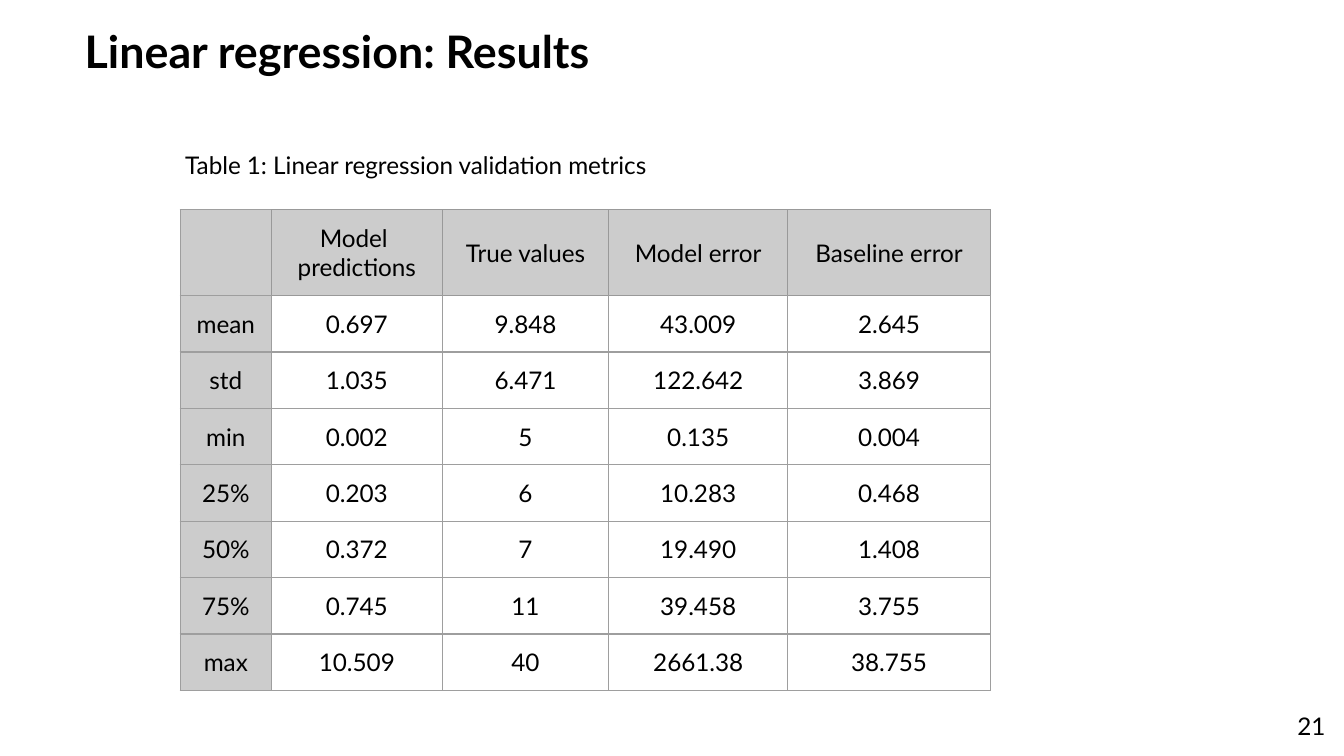
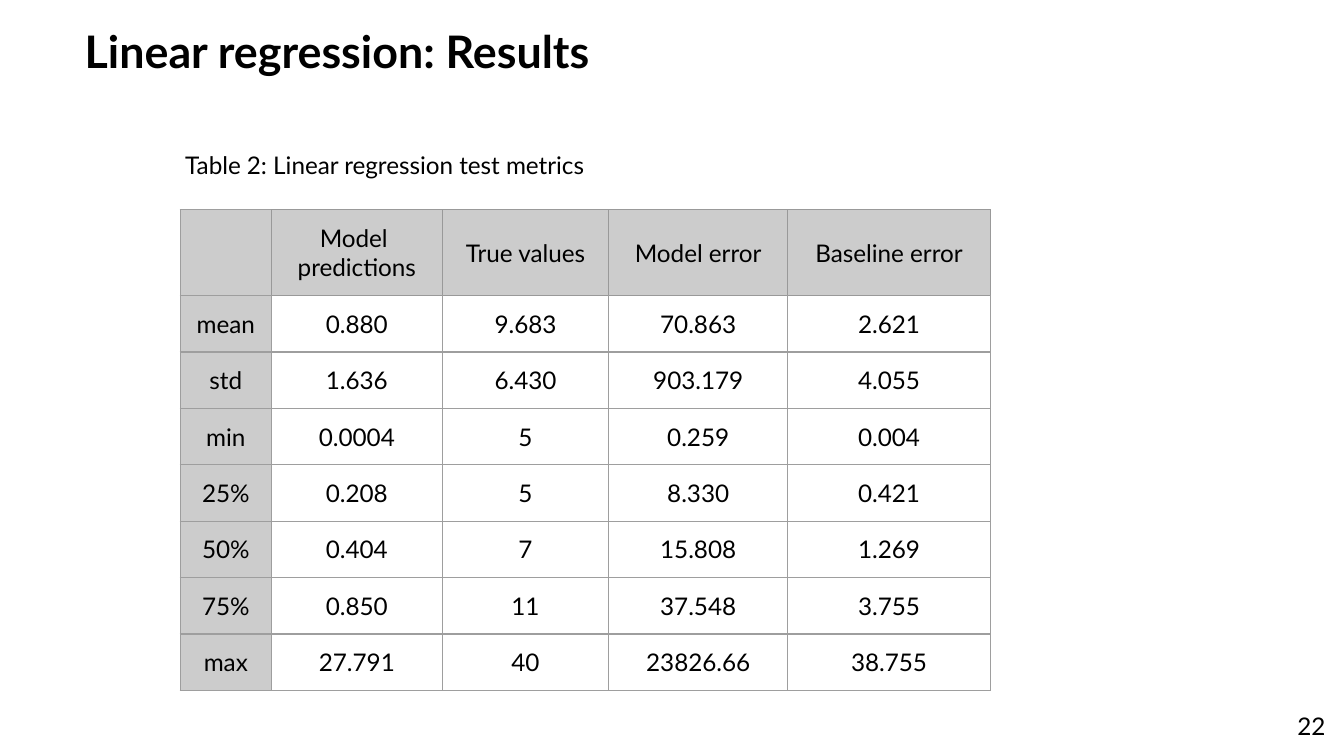
import pptx
import pptx.dml.color
import pptx.enum.text
import pptx.oxml
import pptx.oxml.ns
import pptx.util
from pptx.util import Inches

RGBColor = pptx.dml.color.RGBColor
ALIGN = pptx.enum.text.PP_ALIGN
ANCHOR = pptx.enum.text.MSO_ANCHOR

# Content
TITLE = "Linear regression: Results"
HEADINGS = ["", "Model \npredictions", "True values", "Model error", "Baseline error"]
RESULTS = [
    {
        "number": "21",
        "caption": "Table 1: Linear regression validation metrics",
        "rows": [
            ("mean", "0.697", "9.848", "43.009", "2.645"),
            ("std", "1.035", "6.471", "122.642", "3.869"),
            ("min", "0.002", "5", "0.135", "0.004"),
            ("25%", "0.203", "6", "10.283", "0.468"),
            ("50%", "0.372", "7", "19.490", "1.408"),
            ("75%", "0.745", "11", "39.458", "3.755"),
            ("max", "10.509", "40", "2661.38", "38.755"),
        ],
    },
    {
        "number": "22",
        "caption": "Table 2: Linear regression test metrics",
        "rows": [
            ("mean", "0.880", "9.683", "70.863", "2.621"),
            ("std", "1.636", "6.430", "903.179", "4.055"),
            ("min", "0.0004", "5", "0.259", "0.004"),
            ("25%", "0.208", "5", "8.330", "0.421"),
            ("50%", "0.404", "7", "15.808", "1.269"),
            ("75%", "0.850", "11", "37.548", "3.755"),
            ("max", "27.791", "40", "23826.66", "38.755"),
        ],
    },
]

# Shared style
FONT = "Lato"
TITLE_SIZE, TEXT_SIZE = 24, 13
BLACK = RGBColor(0x00, 0x00, 0x00)
LABEL_FILL = RGBColor(0xCC, 0xCC, 0xCC)
BODY_EDGE = RGBColor(0x9E, 0x9E, 0x9E)
HEADING_EDGE = RGBColor(0x99, 0x99, 0x99)
EDGE_WIDTH = pptx.util.Pt(0.75)

# Layout, in inches
PAGE_WIDTH = 10
PAGE_HEIGHT = PAGE_WIDTH * 9 / 16
TITLE_AREA = (0.53, 0.09, 7.46, 0.58)
CAPTION_AREA = (1.28, 1.02, 7.16, 0.47)
NUMBER_AREA = (9.36, 5.19, 0.6, 0.43)
TABLE_LEFT, TABLE_TOP = 1.34, 1.56
COLUMN_WIDTHS = [0.68, 1.27, 1.24, 1.33, 1.51]
HEADING_HEIGHT, ROW_HEIGHT = 0.64, 0.42
MARGIN = 0.1


def write_text(frame, text, align, size=TEXT_SIZE, bold=False):
    for index, line in enumerate(text.split("\n")):
        para = frame.paragraphs[0] if index == 0 else frame.add_paragraph()
        para.alignment = align
        para.font.size = pptx.util.Pt(size)
        if line:
            span = para.add_run()
            span.text = line
            span.font.name = FONT
            span.font.size = pptx.util.Pt(size)
            span.font.bold = bold
            span.font.color.rgb = BLACK


def set_margins(holder, vertical=MARGIN):
    holder.margin_left = holder.margin_right = Inches(MARGIN)
    holder.margin_top = holder.margin_bottom = Inches(vertical)


def add_title(page):
    title = page.shapes.title
    title.left, title.top, title.width, title.height = map(Inches, TITLE_AREA)
    frame = title.text_frame
    frame.word_wrap = True
    frame.auto_size = pptx.enum.text.MSO_AUTO_SIZE.NONE
    frame.vertical_anchor = ANCHOR.MIDDLE
    set_margins(frame, 0.05)
    write_text(frame, TITLE, ALIGN.LEFT, TITLE_SIZE, bold=True)


def add_label(page, area, text, align):
    frame = page.shapes.add_textbox(*map(Inches, area)).text_frame
    frame.word_wrap = True
    set_margins(frame)
    write_text(frame, text, align)


def set_borders(cell, colors):
    properties = cell._tc.get_or_add_tcPr()
    for side, color in colors.items():
        properties.append(pptx.oxml.parse_xml(
            f'<a:ln{side} {pptx.oxml.ns.nsdecls("a")} w="{EDGE_WIDTH}">'
            f'<a:solidFill><a:srgbClr val="{color}"/></a:solidFill></a:ln{side}>'))


def edge_colors(row, column):
    """Edges that touch a heading cell take the heading colour."""
    heading = row == 0 and column > 0
    touching = {"R": row == 0, "T": row == 1 and column > 0}
    return {side: HEADING_EDGE if heading or touching.get(side) else BODY_EDGE
            for side in "LRTB"}


def add_results_table(page, rows):
    grid = [HEADINGS, *rows]
    heights = [HEADING_HEIGHT] + [ROW_HEIGHT] * len(rows)
    table = page.shapes.add_table(
        len(grid), len(HEADINGS), Inches(TABLE_LEFT), Inches(TABLE_TOP),
        Inches(sum(COLUMN_WIDTHS)), Inches(sum(heights))).table
    table.first_row = table.horz_banding = False
    for column, width in zip(table.columns, COLUMN_WIDTHS):
        column.width = Inches(width)
    for row, height in zip(table.rows, heights):
        row.height = Inches(height)

    for row, values in enumerate(grid):
        for column, value in enumerate(values):
            cell = table.cell(row, column)
            cell.vertical_anchor = ANCHOR.MIDDLE
            set_margins(cell)
            write_text(cell.text_frame, value, ALIGN.CENTER)
            set_borders(cell, edge_colors(row, column))
            if row == 0 or column == 0:
                cell.fill.solid()
                cell.fill.fore_color.rgb = LABEL_FILL
            else:
                cell.fill.background()


def main():
    deck = pptx.Presentation()
    deck.slide_width, deck.slide_height = Inches(PAGE_WIDTH), Inches(PAGE_HEIGHT)
    title_only = deck.slide_layouts.get_by_name("Title Only")
    for result in RESULTS:
        page = deck.slides.add_slide(title_only)
        add_title(page)
        add_results_table(page, result["rows"])
        add_label(page, CAPTION_AREA, result["caption"], ALIGN.LEFT)
        add_label(page, NUMBER_AREA, result["number"], ALIGN.RIGHT)
    deck.save("out.pptx")


if __name__ == "__main__":
    main()
